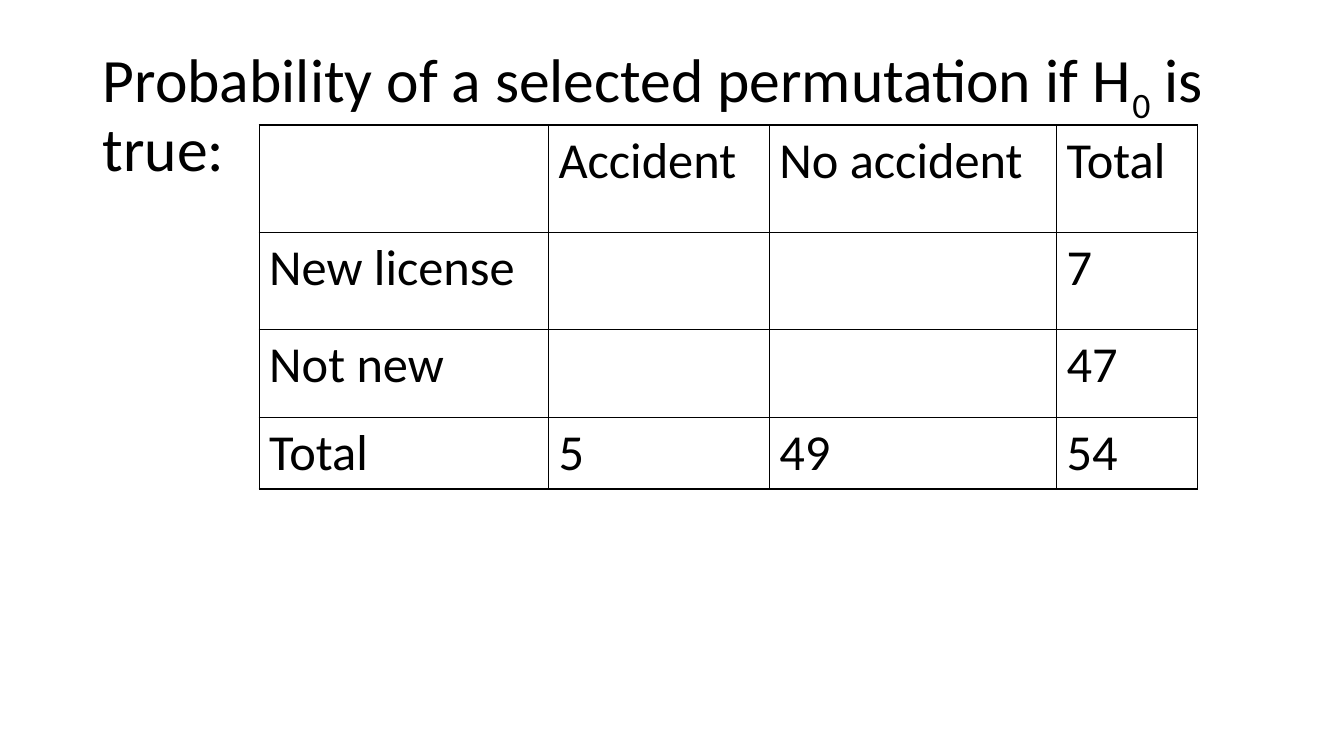
from typing import NamedTuple

from lxml.etree import SubElement
from pptx import Presentation
from pptx.dml.color import RGBColor
from pptx.enum.text import MSO_ANCHOR, MSO_AUTO_SIZE, PP_ALIGN
from pptx.oxml.ns import qn
from pptx.util import Inches, Pt

FONT, BLACK = "Calibri", "000000"
SLIDE_WIDTH, SLIDE_HEIGHT = 13.33, 7.5
BORDER_WIDTH = 1


class Box(NamedTuple):
    left: float
    top: float
    width: float
    height: float

    def lengths(self) -> list:
        return [Inches(value) for value in self]


class TitleRun(NamedTuple):
    text: str
    baseline: int = 0


COLUMN_WIDTHS = (2.87, 2.19, 2.85, 1.4)
ROW_HEIGHTS = (1.07, 0.96, 0.87, 0.64)
TITLE_BOX = Box(0.92, 0.4, 11.5, 1.45)
COUNTS_BOX = Box(2.57, 1.24, sum(COLUMN_WIDTHS), sum(ROW_HEIGHTS))

TITLE_RUNS = (
    TitleRun("Probability of a selected permutation if H"),
    TitleRun("0", -25),
    TitleRun(" is true:"),
)
COUNTS = (
    ("", "Accident", "No accident", "Total"),
    ("New license", "", "", "7"),
    ("Not new", "", "", "47"),
    ("Total", "5", "49", "54"),
)


def style_font(font, size: float, color: str = BLACK) -> None:
    font.name, font.size = FONT, Pt(size)
    font.color.rgb = RGBColor.from_string(color)


def add_borders(cell, color: str = BLACK) -> None:
    properties = cell._tc.get_or_add_tcPr()
    for side in ("lnL", "lnR", "lnT", "lnB"):
        line = SubElement(properties, qn(f"a:{side}"), w=str(Pt(BORDER_WIDTH)))
        SubElement(SubElement(line, qn("a:solidFill")), qn("a:srgbClr"), val=color)


def fill_title(title) -> None:
    title.left, title.top, title.width, title.height = TITLE_BOX.lengths()
    frame = title.text_frame
    frame.word_wrap = True
    frame.auto_size = MSO_AUTO_SIZE.NONE
    frame.vertical_anchor = MSO_ANCHOR.MIDDLE
    paragraph = frame.paragraphs[0]
    paragraph.alignment = PP_ALIGN.LEFT
    paragraph.line_spacing = 0.9
    style_font(paragraph.font, 44)
    for part in TITLE_RUNS:
        run = paragraph.add_run()
        run.text = part.text
        if part.baseline:
            run.font._element.set("baseline", f"{part.baseline * 1000}")


def add_counts_table(slide) -> None:
    table = slide.shapes.add_table(
        len(ROW_HEIGHTS), len(COLUMN_WIDTHS), *COUNTS_BOX.lengths()
    ).table
    table.first_row = table.horz_banding = False
    for column, width in zip(table.columns, COLUMN_WIDTHS):
        column.width = Inches(width)
    for row, height, texts in zip(table.rows, ROW_HEIGHTS, COUNTS):
        row.height = Inches(height)
        for cell, text in zip(row.cells, texts):
            cell.text = text
            style_font(cell.text_frame.paragraphs[0].font, 36)
            add_borders(cell)
            cell.fill.background()


presentation = Presentation()
presentation.slide_width = Inches(SLIDE_WIDTH)
presentation.slide_height = Inches(SLIDE_HEIGHT)
title_only = presentation.slide_layouts[5]
slide = presentation.slides.add_slide(title_only)

# Heading
fill_title(slide.shapes.title)

# Contingency table with fixed margins
add_counts_table(slide)

presentation.save("out.pptx")
